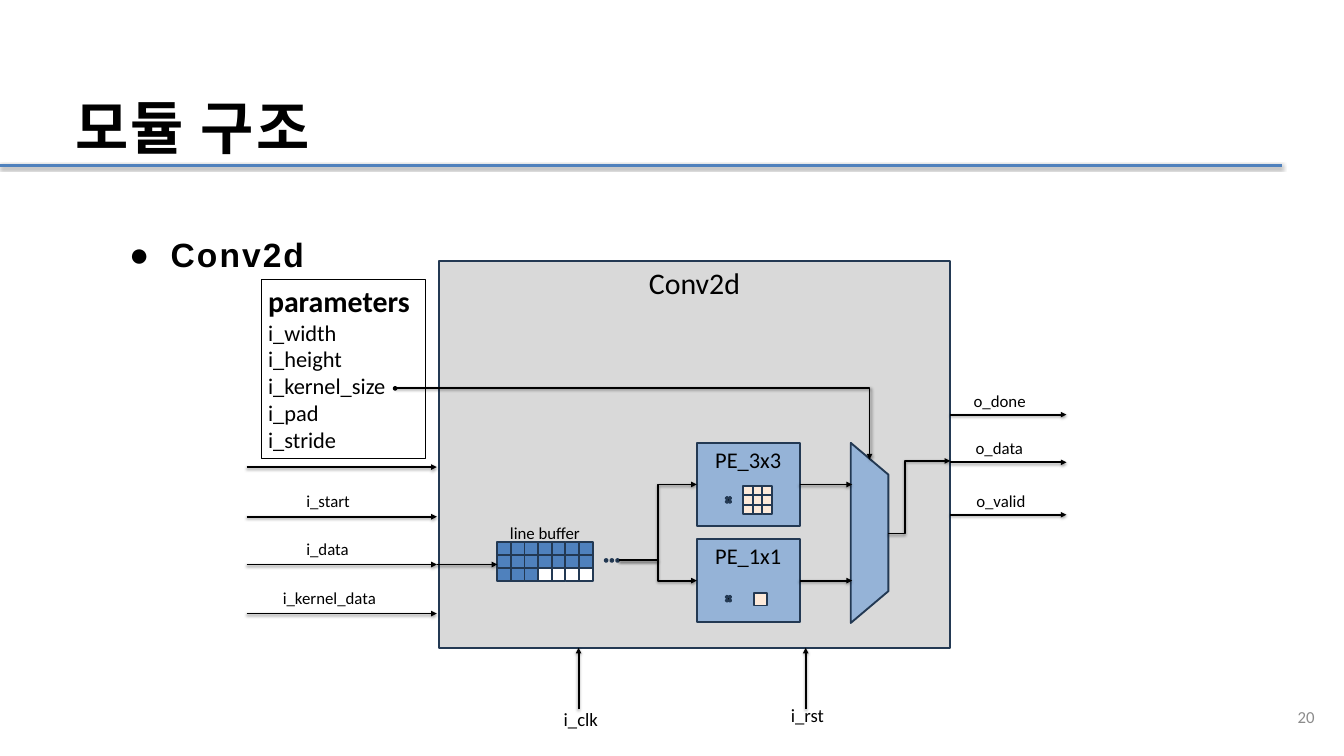
from dataclasses import dataclass

from lxml import etree
from pptx import Presentation
from pptx.dml.color import RGBColor
from pptx.enum.shapes import MSO_CONNECTOR, MSO_SHAPE
from pptx.enum.text import MSO_ANCHOR, MSO_AUTO_SIZE, PP_ALIGN
from pptx.oxml.ns import qn
from pptx.util import Inches, Pt

STRAIGHT, ELBOW = MSO_CONNECTOR.STRAIGHT, MSO_CONNECTOR.ELBOW
RECT, OVAL = MSO_SHAPE.RECTANGLE, MSO_SHAPE.OVAL
TRAPEZOID, MULTIPLY = MSO_SHAPE.TRAPEZOID, MSO_SHAPE.MATH_MULTIPLY
TOP, MIDDLE = MSO_ANCHOR.TOP, MSO_ANCHOR.MIDDLE
LEFT, CENTER, RIGHT = PP_ALIGN.LEFT, PP_ALIGN.CENTER, PP_ALIGN.RIGHT


@dataclass(frozen=True)
class Theme:
    heading_font: str = "Arial"
    label_font: str = "Calibri"
    black: str = "000000"
    white: str = "FFFFFF"
    gray: str = "8C8C8C"
    module: str = "D9D9D9"
    unit: str = "95B3D7"
    accent: str = "4F81BD"
    kernel: str = "FDEADA"
    outline: str = "233953"
    title_size: int = 62
    bullet_size: int = 36
    module_size: int = 32
    unit_size: int = 24
    clock_size: int = 20
    label_size: int = 18


def color(value):
    return RGBColor.from_string(value)


class Diagram:
    """Draws styled elements on one slide; all lengths are in inches."""

    def __init__(self, slide, theme):
        self.slide = slide
        self.theme = theme

    def format_runs(self, paragraph, size, font=None, ink=None, bold=False):
        for run in paragraph.runs:
            run.font.size = Pt(size)
            run.font.name = font or self.theme.label_font
            run.font.bold = bold
            run.font.color.rgb = color(ink or self.theme.black)

    def heading(self, placeholder, text, box, size, bullet=None):
        placeholder.left, placeholder.top, placeholder.width, placeholder.height = map(Inches, box)
        frame = placeholder.text_frame
        frame.text = text
        frame.auto_size = MSO_AUTO_SIZE.NONE
        frame.vertical_anchor = TOP
        frame.margin_left = frame.margin_right = frame.margin_top = frame.margin_bottom = 0
        paragraph = frame.paragraphs[0]
        paragraph.alignment = LEFT
        paragraph.line_spacing = Pt(86.9)
        paragraph.space_before = Pt(0)
        self.format_runs(paragraph, size, self.theme.heading_font, bold=True)
        paragraph.runs[0].font._element.set("spc", "220")
        if bullet:
            properties = paragraph._p.get_or_add_pPr()
            properties.set("marL", str(Inches(0.62)))
            properties.set("indent", str(-Inches(0.62)))
            etree.SubElement(properties, qn("a:buChar"), char=bullet)

    def label(self, text, box, size=None, ink=None, align=LEFT, anchor=TOP):
        textbox = self.slide.shapes.add_textbox(*map(Inches, box))
        frame = textbox.text_frame
        frame.text = text
        frame.word_wrap = True
        frame.vertical_anchor = anchor
        for paragraph in frame.paragraphs:
            paragraph.alignment = align
            self.format_runs(paragraph, size or self.theme.label_size, ink=ink)
        return textbox

    def parameter_list(self, heading, names, box):
        listing = self.label("\n".join([heading, *names]), box, self.theme.unit_size)
        listing.line.color.rgb = color(self.theme.black)
        listing.line.width = Pt(0.75)
        self.format_runs(listing.text_frame.paragraphs[0], self.theme.module_size, bold=True)

    def block(self, kind, box, fill, text="", size=None, line=None, parent=None):
        shape = (parent or self.slide).shapes.add_shape(kind, *map(Inches, box))
        shape.shadow.inherit = False
        shape.fill.solid()
        shape.fill.fore_color.rgb = color(fill)
        shape.line.color.rgb = color(line or self.theme.outline)
        shape.line.width = Pt(2)
        if text:
            frame = shape.text_frame
            frame.text = text
            frame.vertical_anchor = TOP
            frame.paragraphs[0].alignment = CENTER
            self.format_runs(frame.paragraphs[0], size)
        return shape

    def cell_grid(self, left, top, cell, fills):
        """Draws one group of cells from rows of fill colours."""
        group = self.slide.shapes.add_group_shape()
        width, height = cell
        for row, row_fills in enumerate(fills):
            for column, fill in enumerate(row_fills):
                box = (left + column * width, top + row * height, width, height)
                self.block(RECT, box, fill, parent=group)

    def wire(self, start, end, kind=STRAIGHT, ink=None, width=2, arrow=True,
             bend=None, single_corner=False):
        """Draws a shadowed line; bend is the elbow's place as a share of its width."""
        wire = self.slide.shapes.add_connector(kind, *map(Inches, (*start, *end)))
        wire.line.color.rgb = color(ink or self.theme.black)
        wire.line.width = Pt(width)
        properties = wire._element.spPr
        geometry = properties.find(qn("a:prstGeom"))
        if single_corner:
            geometry.set("prst", "bentConnector2")
        if bend is not None:
            guides = geometry.find(qn("a:avLst"))
            etree.SubElement(guides, qn("a:gd"), name="adj1", fmla=f"val {round(bend * 100000)}")
        if arrow:
            etree.SubElement(wire.line._get_or_add_ln(), qn("a:tailEnd"), type="triangle")
        effects = etree.SubElement(properties, qn("a:effectLst"))
        shadow = etree.SubElement(effects, qn("a:outerShdw"), blurRad=str(Pt(3.1)),
                                  dist=str(Pt(1.6)), dir="5400000", rotWithShape="0")
        shade = etree.SubElement(shadow, qn("a:srgbClr"), val=self.theme.black)
        etree.SubElement(shade, qn("a:alpha"), val="38000")


def main():
    deck = Presentation()
    deck.slide_width, deck.slide_height = Inches(20), Inches(11.25)
    slide = deck.slides.add_slide(deck.slide_layouts[1])
    theme = Theme()
    draw = Diagram(slide, theme)

    draw.label("20", (17.08, 10.38, 2.58, 0.57), ink=theme.gray, align=RIGHT, anchor=MIDDLE)
    draw.wire((0, 2.46), (19.08, 2.46), ink=theme.accent, width=3, arrow=False)
    draw.heading(slide.placeholders[1], "Conv2d", (1.92, 2.88, 18.08, 1.03),
                 theme.bullet_size, bullet="●")
    draw.heading(slide.shapes.title, "모듈 구조", (1.12, 1.19, 12.04, 1.12), theme.title_size)

    # Module, its parameters and its ports
    draw.block(RECT, (6.53, 3.89, 7.61, 5.75), theme.module, "Conv2d", theme.module_size)
    draw.parameter_list("parameters", ["i_width", "i_height", "i_kernel_size", "i_pad", "i_stride"],
                        (3.89, 4.16, 2.44, 2.66))
    for name, x, label_left, label_top in (("i_clk", 8.61, 8.29, 10.49),
                                           ("i_rst", 11.99, 11.67, 10.43)):
        draw.wire((x, 10.55), (x, 9.64))
        draw.label(name, (label_left, label_top, 1.3, 0.63), theme.clock_size)

    input_left, module_left, module_right, output_right = 3.67, 6.5, 14.14, 15.87
    draw.wire((input_left, 6.95), (module_left, 6.95))
    for name, y, label_left in (("i_start", 7.69, 4.46), ("i_data", 8.4, 4.46),
                                ("i_kernel_data", 9.13, 4.11)):
        draw.wire((input_left, y), (module_left, y))
        draw.label(name, (label_left, y - 0.44, 2, 0.59))
    for name, y, label_left in (("o_done", 6.17, 14.39), ("o_data", 6.88, 14.42),
                                ("o_valid", 7.66, 14.43)):
        draw.wire((module_right, y), (output_right, y))
        draw.label(name, (label_left, y - 0.41, 1.74, 0.59))

    # Processing elements and output multiplexer
    unit_left, unit_right, mux_left = 10.37, 11.9, 12.68
    for name, top in (("PE_3x3", 6.59), ("PE_1x1", 8.02)):
        draw.block(RECT, (unit_left, top, 1.53, 1.24), theme.unit, name, theme.unit_size)
    mux = draw.block(TRAPEZOID, (11.6, 7.65, 2.68, 0.56), theme.unit)
    mux.adjustments[0] = 0.845
    mux.rotation = 90
    draw.wire((13.22, 7.94), (module_right, 6.86), ELBOW, bend=0.27)
    draw.wire((5.88, 5.77), (12.94, 6.84), ELBOW, single_corner=True)

    # Line buffer, partly filled in its last row
    draw.cell_grid(7.4, 8.06, (0.203, 0.195),
                   [[theme.accent] * filled + [theme.white] * (7 - filled) for filled in (7, 7, 3)])
    for dot in range(3):
        draw.block(OVAL, (9 + dot * 0.085, 8.32, 0.04, 0.04), theme.black)
    draw.label("line buffer", (7.49, 7.73, 1.4, 0.4))
    draw.wire((module_left, 8.4), (7.4, 8.4))

    # Kernels
    draw.cell_grid(11.06, 7.23, (0.143, 0.14), [[theme.kernel] * 3] * 3)
    draw.block(RECT, (11.22, 8.82, 0.2, 0.19), theme.kernel)
    for top in (7.37, 8.84):
        draw.block(MULTIPLY, (10.78, top, 0.12, 0.14), theme.black)

    for y in (7.21, 8.64):
        draw.wire((9.21, 8.34), (unit_left, y), ELBOW)
        draw.wire((unit_right, y), (mux_left, y))
    draw.block(OVAL, (5.86, 5.76, 0.04, 0.04), theme.black, line=theme.black)

    deck.save("out.pptx")


if __name__ == "__main__":
    main()
